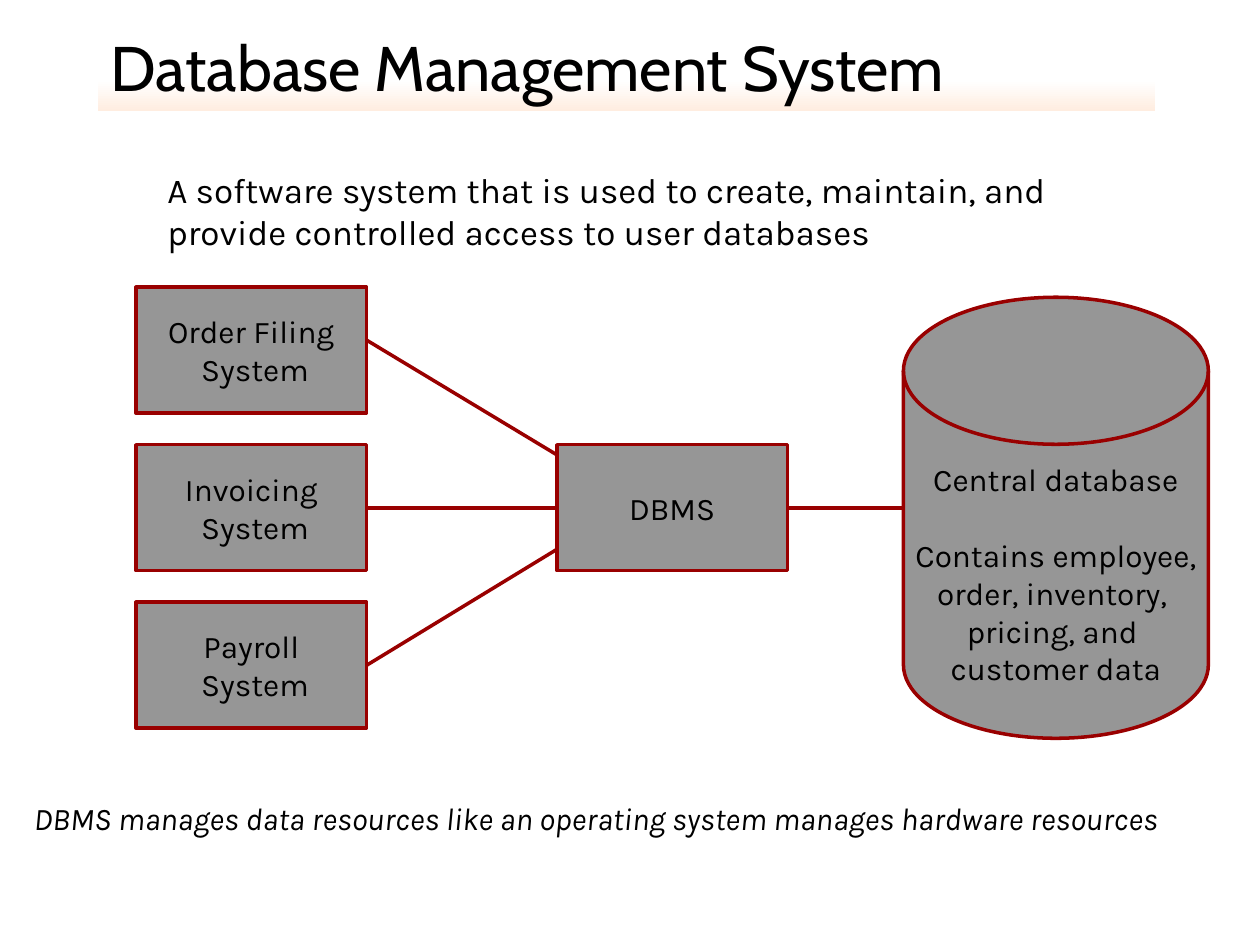
from pptx import Presentation
from pptx.dml.color import RGBColor
from pptx.enum.shapes import MSO_CONNECTOR, MSO_SHAPE
from pptx.enum.text import MSO_ANCHOR, PP_ALIGN
from pptx.oxml.ns import qn
from pptx.util import Inches, Pt
from lxml import etree

RECT, DISK = MSO_SHAPE.RECTANGLE, MSO_SHAPE.FLOWCHART_MAGNETIC_DISK
STRAIGHT = MSO_CONNECTOR.STRAIGHT
MIDDLE, CENTER, LEFT = MSO_ANCHOR.MIDDLE, PP_ALIGN.CENTER, PP_ALIGN.LEFT

COLORS = {"text": "000000", "box": "969696", "line": "990000",
          "fade_from": "FFFFFF", "fade_to": "FFEDE0"}
HEADING_FONT, BODY_FONT = "Cabin", "Karla"
BLANK_LAYOUT = 6
LINE_WIDTH = Pt(2)


def color(name):
    return RGBColor.from_string(COLORS[name])


def write(frame, lines, size, font=BODY_FONT, align=LEFT, italic=False):
    """Put each line in its own paragraph and return the paragraphs."""
    for index, line in enumerate(lines):
        paragraph = frame.paragraphs[0] if index == 0 else frame.add_paragraph()
        paragraph.alignment = align
        run = paragraph.add_run()
        run.text = line
        run.font.size = Pt(size)
        run.font.name = font
        run.font.italic = italic
        run.font.color.rgb = color("text")
    return frame.paragraphs


def add_title(slide, left, top, width, height):
    title = slide.shapes.add_shape(RECT, left, top, width, height)
    title.shadow.inherit = False
    title.line.fill.background()
    title.fill.gradient()
    title.fill.gradient_angle = 270
    fades = ((0.66, "fade_from"), (1, "fade_to"))
    for stop, (position, name) in zip(title.fill.gradient_stops, fades):
        stop.position = position
        stop.color.rgb = color(name)
    title.text_frame.word_wrap = True
    title.text_frame.vertical_anchor = MIDDLE
    write(title.text_frame, ["Database Management System"], 36, HEADING_FONT)


def add_statement(slide, left, top, width, height, text, size, indent=0, italic=False):
    statement = slide.shapes.add_textbox(left, top, width, height)
    statement.text_frame.word_wrap = True
    paragraph = write(statement.text_frame, [text], size, italic=italic)[0]
    paragraph._p.get_or_add_pPr().set("marL", str(indent))


def add_node(slide, shape_type, left, top, width, height, lines):
    node = slide.shapes.add_shape(shape_type, left, top, width, height)
    node.shadow.inherit = False
    node.fill.solid()
    node.fill.fore_color.rgb = color("box")
    node.line.color.rgb = color("line")
    node.line.width = LINE_WIDTH
    node.text_frame.word_wrap = False
    node.text_frame.vertical_anchor = MIDDLE
    write(node.text_frame, lines, 18, align=CENTER)
    return node


def add_link(slide, x1, y1, x2, y2):
    link = slide.shapes.add_connector(STRAIGHT, x1, y1, x2, y2)
    link.line.color.rgb = color("line")
    link.line.width = LINE_WIDTH
    etree.SubElement(link._element.spPr, qn("a:effectLst"))


def add_diagram(slide, left, top):
    box_width, box_height, pitch = Inches(1.83), Inches(1), Inches(1.25)
    dbms_left, disk_left = left + Inches(3.34), left + Inches(6.09)
    middle = top + pitch + box_height // 2

    # Application systems, each with its link to the DBMS
    systems = (("Order Filing", 0.42, -0.42), ("Invoicing", 0.5, 0), ("Payroll", 0.5, 0.33))
    for row, (system, start, end) in enumerate(systems):
        box_top = top + row * pitch
        add_node(slide, RECT, left, box_top, box_width, box_height, [system, " System"])
        add_link(slide, left + box_width, box_top + Inches(start),
                 dbms_left, middle + Inches(end))

    # DBMS and its link to the database
    add_node(slide, RECT, dbms_left, top + pitch, box_width, box_height, ["DBMS"])
    add_link(slide, dbms_left + box_width, middle, disk_left, middle)

    # Central database
    database = add_node(slide, DISK, disk_left, top + Inches(0.08), Inches(2.42), Inches(3.5),
                        ["Central database", "Contains employee,", "order, inventory, ",
                         "pricing, and ", "customer data"])
    database.text_frame.margin_top = Inches(0.35)
    database.text_frame.paragraphs[1].space_before = Pt(22)


def main():
    presentation = Presentation()
    presentation.slide_width, presentation.slide_height = Inches(10), Inches(7.5)
    slide = presentation.slides.add_slide(presentation.slide_layouts[BLANK_LAYOUT])

    add_title(slide, Inches(0.78), Inches(0.17), Inches(8.39), Inches(0.71))
    add_statement(slide, Inches(0.85), Inches(1.29), Inches(8.5), Inches(1.5),
                  "A software system that is used to create, maintain, and "
                  "provide controlled access to user databases", 20, indent=Inches(0.38))
    add_diagram(slide, Inches(1.08), Inches(2.28))
    add_statement(slide, Inches(0.17), Inches(6.29), Inches(9.77), Inches(0.4),
                  "DBMS manages data resources like an operating system "
                  "manages hardware resources", 18, italic=True)
    presentation.save("out.pptx")


if __name__ == "__main__":
    main()
